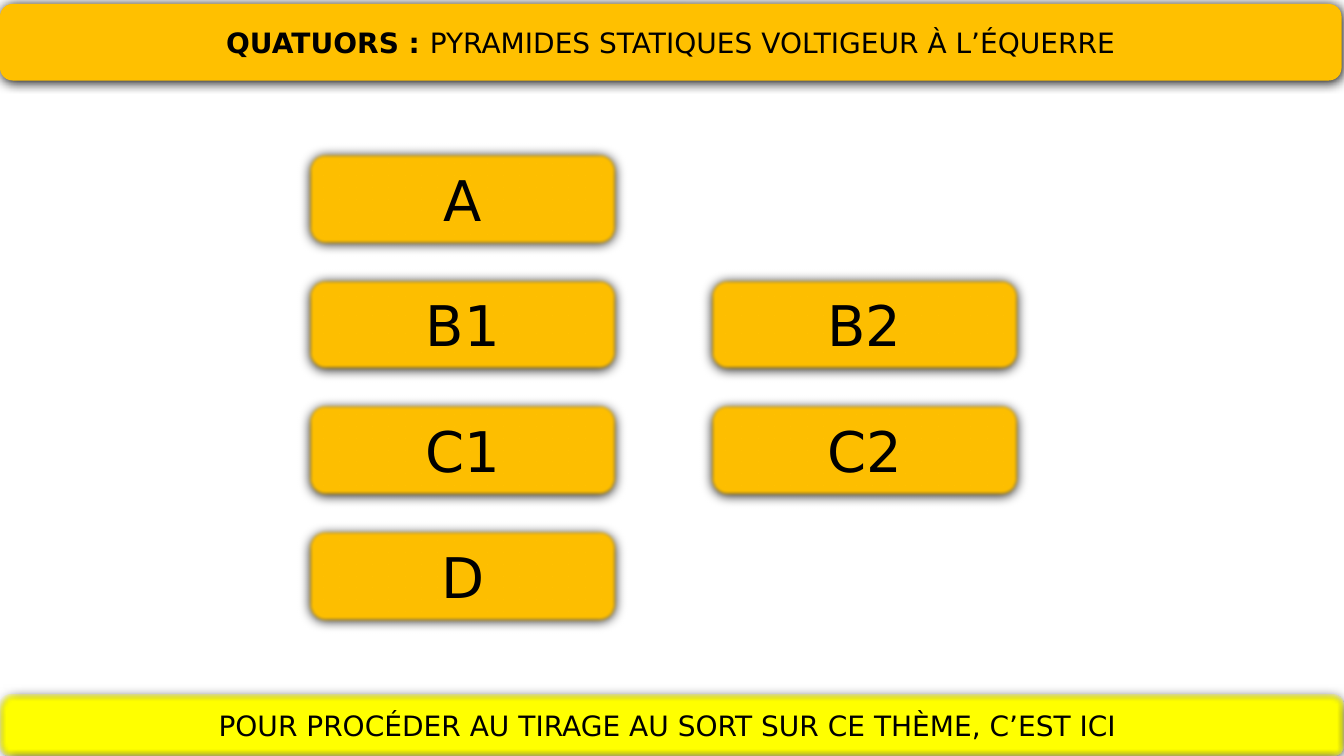
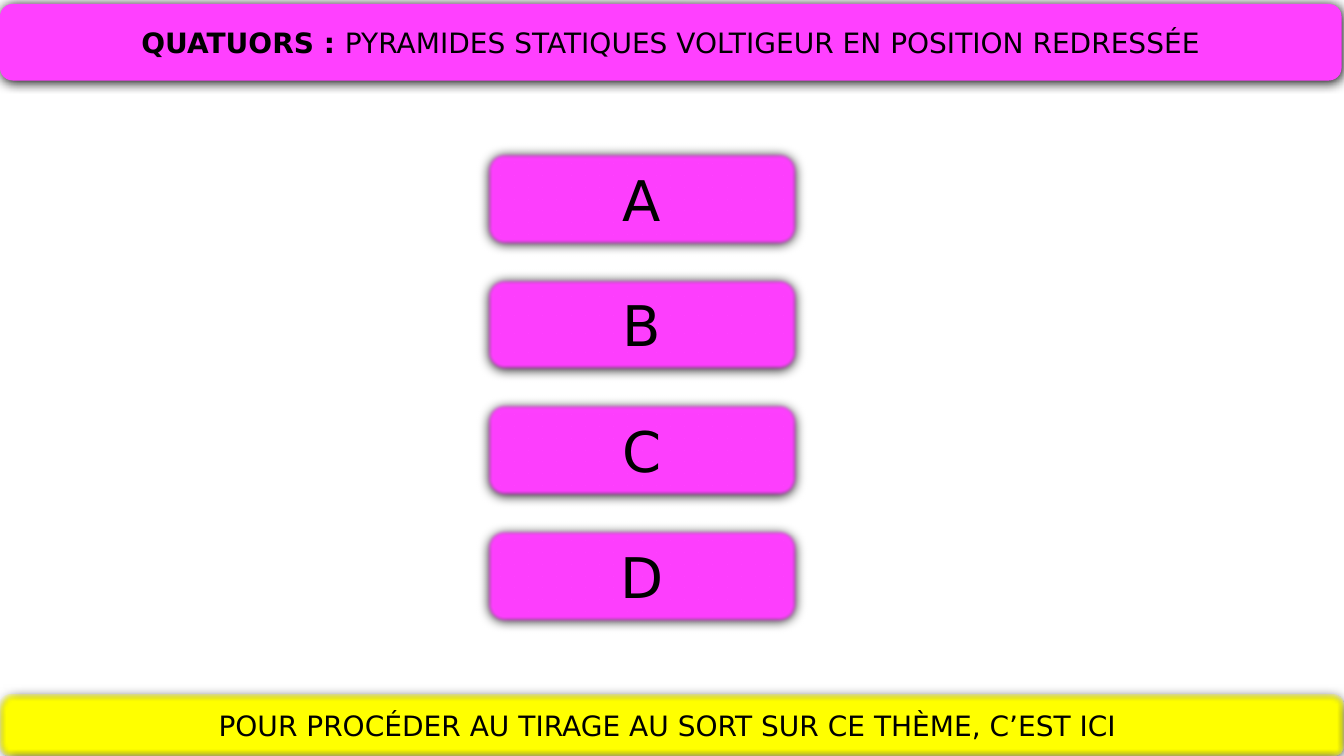
from lxml.etree import SubElement
from pptx import Presentation
from pptx.dml.color import RGBColor
from pptx.enum.shapes import MSO_SHAPE
from pptx.enum.text import MSO_ANCHOR, PP_ALIGN
from pptx.oxml import parse_xml
from pptx.oxml.ns import nsdecls, qn
from pptx.util import Cm, Pt

BLACK = RGBColor(0x00, 0x00, 0x00)
AMBER = RGBColor(0xFF, 0xC0, 0x00)
PINK = RGBColor(0xFF, 0x40, 0xFF)
YELLOW = RGBColor(0xFF, 0xFF, 0x00)

FONT = "DejaVu Sans"
WIDTH, HEIGHT = 33.87, 19.05
TOP, STEP = 3.84, 3.17
BOX_W, BOX_H = 7.82, 2.34
DRAW = "POUR PROCÉDER AU TIRAGE AU SORT SUR CE THÈME, C’EST ICI "

# Theme, colour, then one (left, {row: label}) pair per column
THEMES = [
    ("PYRAMIDES STATIQUES VOLTIGEUR À L’ÉQUERRE", AMBER,
     [(7.75, {0: "A", 1: "B1", 2: "C1", 3: "D"}),
      (17.88, {1: "B2", 2: "C2"})]),
    ("PYRAMIDES STATIQUES VOLTIGEUR EN POSITION REDRESSÉE", PINK,
     [(12.27, {0: "A", 1: "B", 2: "C", 3: "D"})]),
]


def write(para, text, size=20, bold=False, edge=False):
    """Add a run; edge draws a thin black line round its letters."""
    run = para.add_run()
    run.text = text
    font = run.font
    font.name, font.size, font.bold = FONT, Pt(size), bold
    font.color.rgb = BLACK
    if edge:
        line = parse_xml(
            f'<a:ln {nsdecls("a")} w="{Pt(0.75)}"><a:solidFill>'
            f'<a:srgbClr val="{BLACK}"/></a:solidFill></a:ln>')
        run._r.get_or_add_rPr().insert(0, line)


class Deck:
    def __init__(self):
        self.file = Presentation()
        self.file.slide_width = Cm(WIDTH)
        self.file.slide_height = Cm(HEIGHT)
        self.slide = None

    def start(self):
        self.slide = self.file.slides.add_slide(self.file.slide_layouts[6])

    def panel(self, left, top, width, height, fill, soft=True):
        """Draw a rounded, shadowed box and return its paragraph."""
        shape = self.slide.shapes.add_shape(
            MSO_SHAPE.ROUNDED_RECTANGLE,
            Cm(left), Cm(top), Cm(width), Cm(height))
        shape.fill.solid()
        shape.fill.fore_color.rgb = fill
        shape.line.fill.background()
        self.shade(shape, soft)
        frame = shape.text_frame
        frame.word_wrap = True
        frame.vertical_anchor = MSO_ANCHOR.MIDDLE
        para = frame.paragraphs[0]
        para.alignment = PP_ALIGN.CENTER
        return para

    def shade(self, shape, soft):
        shape.shadow.inherit = False
        glow = shape._element.spPr.find(qn("a:effectLst"))
        drop = SubElement(glow, qn("a:outerShdw"), blurRad=str(Pt(8.5)),
                          dist=str(Pt(1)), dir="5400000", rotWithShape="0")
        SubElement(drop, qn("a:srgbClr"), val=str(BLACK))
        if soft:
            SubElement(glow, qn("a:softEdge"), rad=str(Pt(2.5)))

    def title(self, text, fill):
        para = self.panel(0, 0.1, 33.81, 1.93, fill, soft=False)
        write(para, "QUATUORS : ", bold=True, edge=True)
        write(para, text)

    def button(self, label, left, row, fill):
        para = self.panel(left, TOP + row * STEP, BOX_W, BOX_H, fill)
        write(para, label, size=40)

    def footer(self):
        write(self.panel(0, 17.5, WIDTH, 1.55, YELLOW), DRAW)


def main():
    deck = Deck()
    for theme, fill, columns in THEMES:
        deck.start()
        deck.title(theme, fill)
        for left, labels in columns:
            for row, label in labels.items():
                deck.button(label, left, row, fill)
        deck.footer()
    deck.file.save("out.pptx")


if __name__ == "__main__":
    main()
